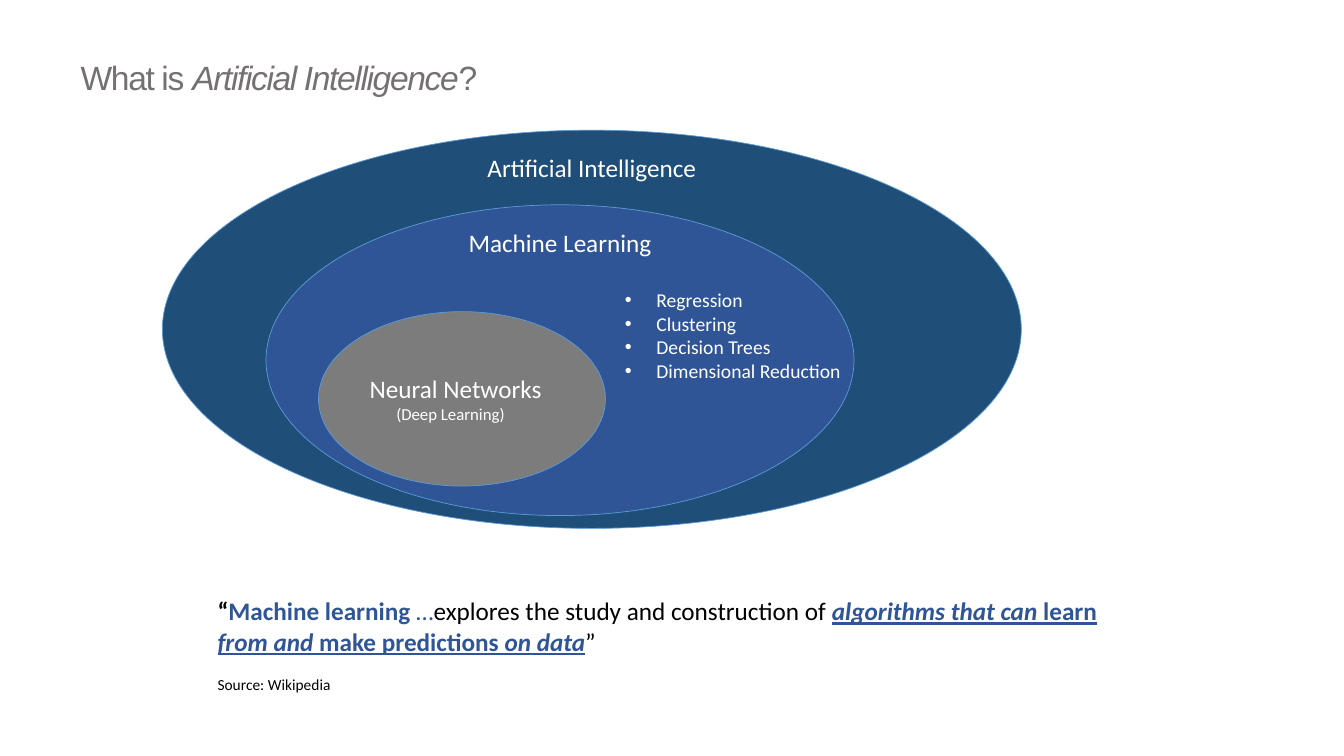
from lxml import etree
from pptx import Presentation
from pptx.dml.color import RGBColor
from pptx.enum.shapes import MSO_SHAPE
from pptx.enum.text import MSO_ANCHOR, MSO_AUTO_SIZE, PP_ALIGN
from pptx.oxml.ns import qn
from pptx.util import Pt

OVAL = MSO_SHAPE.OVAL
BOTTOM, LEFT, CENTER = MSO_ANCHOR.BOTTOM, PP_ALIGN.LEFT, PP_ALIGN.CENTER
NO_FIT, GROW = MSO_AUTO_SIZE.NONE, MSO_AUTO_SIZE.SHAPE_TO_FIT_TEXT
TITLE_ONLY = 5

COLORS = {
    "title": "767171",
    "text": "000000",
    "accent": "2F5597",
    "label": "FFFFFF",
    "outline": "5B9BD5",
    "outer": "1F4E79",
    "middle": "2F5597",
    "inner": "7C7C7C",
}

LABEL = {"size": 18, "color": "label"}
BODY = {"size": 18, "color": "text"}
STRONG = {"size": 18, "color": "accent", "bold": True}
LINKED = {**STRONG, "underline": True}
SLANTED = {**LINKED, "italic": True}

QUOTE = [
    ("“", {**BODY, "bold": True}),
    ("Machine learning", STRONG),
    (" …", {**STRONG, "bold": False}),
    ("explores the study and construction of ", BODY),
    ("algorithms that can ", SLANTED),
    ("learn", LINKED),
    (" from and ", SLANTED),
    ("make predictions", LINKED),
    (" on data", SLANTED),
    ("”", BODY),
]
METHODS = ["Regression", "Clustering", "Decision Trees", "Dimensional Reduction"]


def rgb(name):
    return RGBColor.from_string(COLORS[name])


def add_span(para, text, style):
    span = para.add_run()
    span.text = text
    for name, value in {"name": "Calibri", **style}.items():
        if name == "color":
            span.font.color.rgb = rgb(value)
        else:
            setattr(span.font, name, Pt(value) if name == "size" else value)
    return span


def place(shape, box):
    for name, value in zip(("left", "top", "width", "height"), box):
        setattr(shape, name, Pt(value))


def add_text(page, box, paragraphs, wrap=False):
    """Add a text box; each paragraph is a list of (text, style) spans."""
    frame = page.shapes.add_textbox(*map(Pt, box)).text_frame
    frame.word_wrap = wrap
    frame.auto_size = GROW
    for index, spans in enumerate(paragraphs):
        para = frame.paragraphs[0] if index == 0 else frame.add_paragraph()
        for text, style in spans:
            add_span(para, text, style)
    return frame


def indent(para, left, first=0):
    properties = para._p.get_or_add_pPr()
    properties.set("marL", str(Pt(left)))
    properties.set("indent", str(Pt(first)))
    return properties


def add_title(page, box):
    title = page.shapes.title
    place(title, box)
    frame = title.text_frame
    frame.word_wrap = True
    frame.auto_size = NO_FIT
    frame.vertical_anchor = BOTTOM
    para = frame.paragraphs[0]
    para.alignment = LEFT
    para.line_spacing = 0.9
    style = {"name": "Arial", "size": 24, "color": "title"}
    for text, italic in (("What is ", False), ("Artificial Intelligence", True), ("?", False)):
        span = add_span(para, text, {**style, "italic": italic})
        span._r.get_or_add_rPr().set("spc", "-100")


def add_ellipse(page, box, color):
    ellipse = page.shapes.add_shape(OVAL, *map(Pt, box))
    ellipse.shadow.inherit = False
    ellipse.fill.solid()
    ellipse.fill.fore_color.rgb = rgb(color)
    ellipse.line.color.rgb = rgb("outline")
    ellipse.line.width = Pt(0.5)


def add_field(page, box, color, name, label_width):
    """Add an ellipse with its name centred near the top."""
    left, top, width, _ = box
    add_ellipse(page, box, color)
    label_box = (left + (width - label_width) / 2, top + 12.3, label_width, 29)
    frame = add_text(page, label_box, [[(name, LABEL)]])
    frame.paragraphs[0].alignment = CENTER


def add_networks(page, box):
    left, top, _, _ = box
    add_ellipse(page, box, "inner")
    frame = add_text(page, (left + 29.5, top + 40.5, 138, 44), [
        [("Neural Networks", LABEL)],
        [("(Deep Learning)", {**LABEL, "size": 12})],
    ])
    indent(frame.paragraphs[1], 19)


def add_methods(page, box):
    style = {**LABEL, "size": 14}
    frame = add_text(page, box, [[(method, style)] for method in METHODS])
    for para in frame.paragraphs:
        properties = indent(para, 22.5, -22.5)
        etree.SubElement(properties, qn("a:buFont")).set("typeface", "Arial")
        etree.SubElement(properties, qn("a:buChar")).set("char", "•")


def add_diagram(page, box):
    left, top, width, height = box
    add_field(page, box, "outer", "Artificial Intelligence", 166)
    add_field(page, (left + 74, top + 53.3, 420, 222), "middle", "Machine Learning", 147)
    add_networks(page, (left + 111.5, top + 129.6, 205, 124.6))
    add_methods(page, (left + 323.3, top + 109.4, 170.6, 75))


def add_quote(page, box):
    source = [("Source: Wikipedia", {**BODY, "size": 11})]
    frame = add_text(page, box, [QUOTE, source], wrap=True)
    frame.paragraphs[1].space_before = Pt(13.4)


def main():
    deck = Presentation()
    deck.slide_width, deck.slide_height = Pt(960), Pt(540)
    page = deck.slides.add_slide(deck.slide_layouts[TITLE_ONLY])
    add_title(page, (50.4, 28, 302.4, 45.4))
    add_diagram(page, (116, 93, 613.5, 284.4))
    add_quote(page, (148.3, 422, 650.2, 77.8))
    deck.save("out.pptx")


if __name__ == "__main__":
    main()
